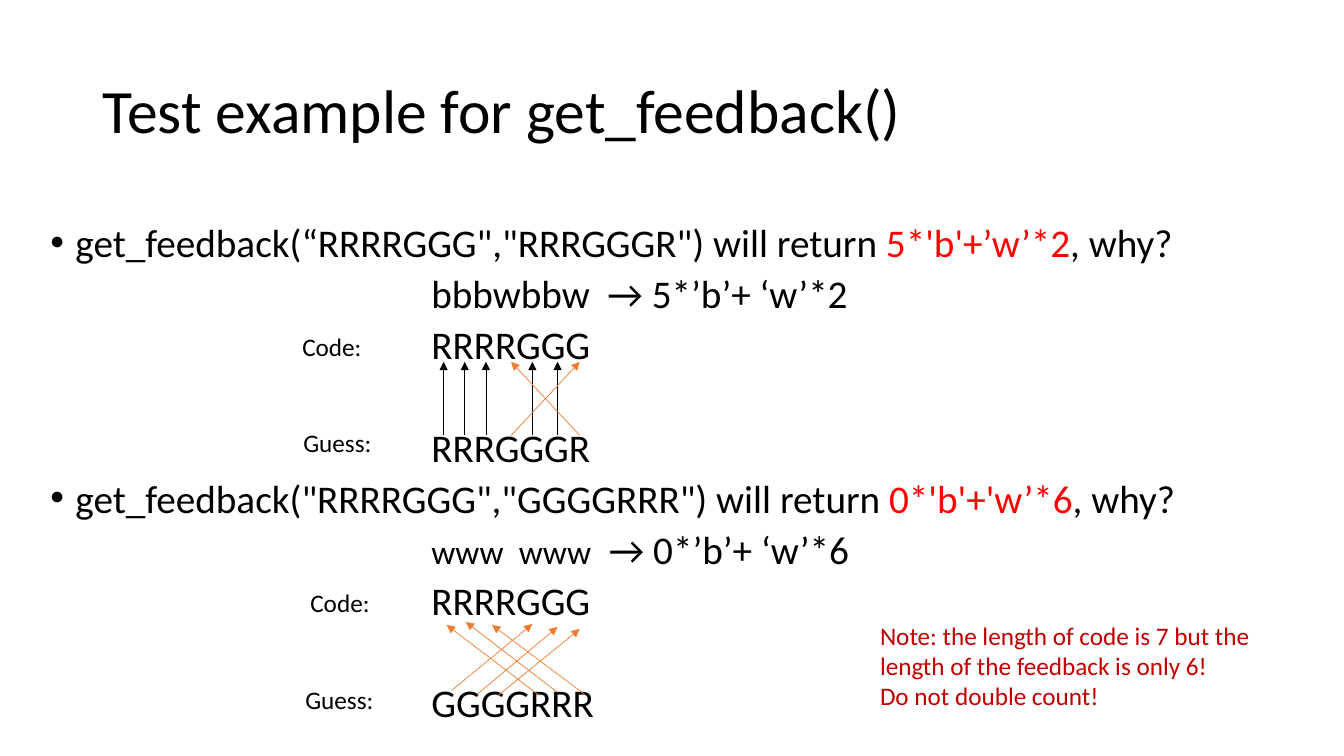
from lxml import etree
from pptx import Presentation
from pptx.dml.color import RGBColor
from pptx.enum.shapes import MSO_CONNECTOR
from pptx.enum.text import MSO_ANCHOR
from pptx.oxml.ns import qn
from pptx.util import Inches, Pt

STRAIGHT = MSO_CONNECTOR.STRAIGHT
MIDDLE, TOP = MSO_ANCHOR.MIDDLE, MSO_ANCHOR.TOP

THEME = {
    "font": "Calibri",
    "ink": "000000", "answer": "FF0000", "misplaced": "ED7D31", "note": "C00000",
    "title": 44, "body": 28, "small": 24, "label": 18, "line": 0.5,
}

presentation = Presentation()
presentation.slide_width, presentation.slide_height = Inches(13.33), Inches(7.5)
slide = presentation.slides.add_slide(presentation.slide_layouts[6])


def add_text(paragraphs, left, top, width, height, size, color="ink", anchor=TOP,
             wrap=True, line_spacing=None):
    """Each paragraph is (runs, space before, left margin, bulleted); a run is (text, format)."""
    box = slide.shapes.add_textbox(Inches(left), Inches(top), Inches(width), Inches(height))
    frame = box.text_frame
    frame.word_wrap, frame.vertical_anchor = wrap, anchor
    for index, (runs, space_before, margin, bulleted) in enumerate(paragraphs):
        paragraph = frame.paragraphs[0] if index == 0 else frame.add_paragraph()
        paragraph.space_before, paragraph.line_spacing = Pt(space_before), line_spacing
        properties = paragraph._p.get_or_add_pPr()
        properties.set("marL", str(Inches(margin)))
        if bulleted:
            properties.set("indent", str(-Inches(margin)))
            font = etree.SubElement(properties, qn("a:buFont"))
            font.set("typeface", "Arial")
            etree.SubElement(properties, qn("a:buChar")).set("char", "•")
        for text, style in runs:
            run = paragraph.add_run()
            run.text = text
            run.font.name = THEME["font"]
            run.font.size = Pt(THEME[style.get("size", size)])
            run.font.color.rgb = RGBColor.from_string(THEME[style.get("color", color)])


def add_arrow(start_x, start_y, end_x, end_y, color):
    arrow = slide.shapes.add_connector(
        STRAIGHT, Inches(start_x), Inches(start_y), Inches(end_x), Inches(end_y))
    arrow.line.color.rgb = RGBColor.from_string(THEME[color])
    arrow.line.width = Pt(THEME["line"])
    etree.SubElement(arrow.line._get_or_add_ln(), qn("a:tailEnd")).set("type", "triangle")
    etree.SubElement(arrow._element.spPr, qn("a:effectLst"))


# Title
add_text([([("Test example for get_feedback()", {})], 0, 0, False)],
         0.92, 0.4, 11.5, 1.45, "title", anchor=MIDDLE, line_spacing=0.9)

# Two worked examples: question, feedback, code and, one empty line lower, guess
BULLET_MARGIN, EXAMPLE_MARGIN = 0.25, 3.78
GAP, GAP_AND_LINE = 9.5, 46.3
examples = [
    ('get_feedback(“RRRRGGG","RRRGGGR") will return ', "5*'b'+’w’*2",
     [("bbbwbbw  → 5*’b’+ ‘w’*2", {})], "RRRRGGG", "RRRGGGR"),
    ('get_feedback("RRRRGGG","GGGGRRR") will return ', "0*'b'+'w’*6",
     [("www  www", {"size": "small"}), ("  → 0*’b’+ ‘w’*6", {})], "RRRRGGG", "GGGGRRR"),
]
body = []
for call, answer, feedback, code, guess in examples:
    question = [(call, {}), (answer, {"color": "answer"}), (", why?", {})]
    body += [
        (question, GAP, BULLET_MARGIN, True),
        (feedback, GAP, EXAMPLE_MARGIN, False),
        ([(code, {})], GAP, EXAMPLE_MARGIN, False),
        ([(guess, {})], GAP_AND_LINE, EXAMPLE_MARGIN, False),
    ]
add_text(body, 0.4, 2.21, 12.02, 5.37, "body", line_spacing=0.8)

# Row labels
for label, left, top, width in [("Code:", 2.9, 3.24, 0.8), ("Guess:", 2.91, 4.19, 0.89),
                                ("Code:", 2.98, 5.78, 0.8), ("Guess:", 2.93, 6.74, 0.89)]:
    add_text([([(label, {})], 0, 0, False)], left, top, width, 0.4, "label", wrap=False)

# First example: arrows join letter columns of guess and code
LETTER_X = [4.4, 4.61, 4.82, 5.07, 5.28, 5.53, 5.75]
for guess_column, code_column in [(0, 0), (1, 1), (2, 2), (4, 4), (5, 5), (3, 6), (6, 3)]:
    color = "ink" if guess_column == code_column else "misplaced"
    add_arrow(LETTER_X[guess_column], 4.32, LETTER_X[code_column], 3.59, color)

# Second example: every match is misplaced, G rises to the right and R to the left
for ends in [(4.48, 6.85, 5.28, 6.19), (4.73, 6.89, 5.53, 6.22), (4.94, 6.9, 5.75, 6.24),
             (5.35, 6.9, 4.43, 6.2), (5.53, 6.87, 4.62, 6.17), (5.8, 6.89, 4.88, 6.2)]:
    add_arrow(*ends, "misplaced")

# Note
note = ["Note: the length of code is 7 but the", "length of the feedback is only 6!",
        "Do not double count!"]
add_text([([(line, {})], 0, 0, False) for line in note],
         8.63, 6.1, 3.97, 1.01, "label", color="note", wrap=False)

presentation.save("out.pptx")
